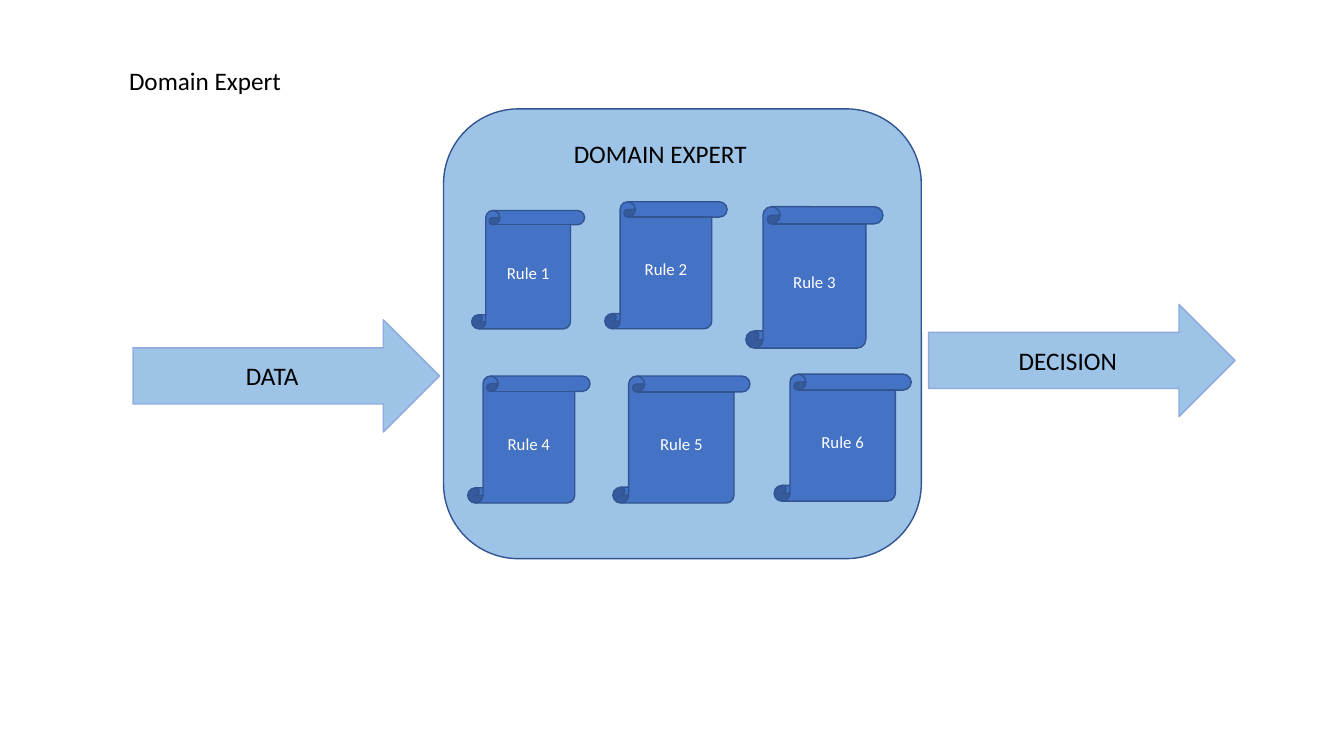
import pptx
import pptx.dml.color
import pptx.enum.shapes
import pptx.enum.text
import pptx.util

BLACK = pptx.dml.color.RGBColor(0x00, 0x00, 0x00)
WHITE = pptx.dml.color.RGBColor(0xFF, 0xFF, 0xFF)
SKY = pptx.dml.color.RGBColor(0x9D, 0xC3, 0xE6)
PERIWINKLE = pptx.dml.color.RGBColor(0x8F, 0xAA, 0xDC)
BLUE = pptx.dml.color.RGBColor(0x44, 0x72, 0xC4)
NAVY = pptx.dml.color.RGBColor(0x32, 0x54, 0x91)

ALIGN = pptx.enum.text.PP_ALIGN
ANCHOR = pptx.enum.text.MSO_ANCHOR
FIT = pptx.enum.text.MSO_AUTO_SIZE
PRESET = pptx.enum.shapes.MSO_SHAPE

TITLE_ONLY = 5
FLOW_ARROW_SIZE = (22.8, 14.85)
RULE_BOXES = [
    (35.1, 27.85, 8.4, 15.65),
    (45, 26.7, 9.1, 16.8),
    (55.5, 27.35, 10.2, 18.7),
    (34.8, 49.75, 9.1, 16.8),
    (45.6, 49.75, 10.2, 16.8),
    (57.6, 49.5, 10.2, 16.8),
]


class ExpertSlide:
    """Builds the slide; every box is (left, top, width, height) in percent of the slide."""

    heading_font = {"name": "Calibri", "size": pptx.util.Pt(18), "bold": False}
    rule_font = {"name": "Calibri", "size": pptx.util.Pt(12), "bold": False}

    def __init__(self, deck):
        self.width, self.height = deck.slide_width, deck.slide_height
        self.slide = deck.slides.add_slide(deck.slide_layouts[TITLE_ONLY])

    def place(self, box):
        """Turn a box in percent into slide lengths."""
        spans = (self.width, self.height) * 2
        return [round(span * share / 100) for span, share in zip(spans, box)]

    def add_text(self, holder, text, font, color, align, frame_format):
        frame = holder.text_frame
        for name, value in frame_format.items():
            setattr(frame, name, value)
        paragraph = frame.paragraphs[0]
        paragraph.alignment = align
        run = paragraph.add_run()
        run.text = text
        for name, value in font.items():
            setattr(run.font, name, value)
        run.font.color.rgb = color

    def heading(self, holder, text, wrap):
        self.add_text(holder, text, self.heading_font, BLACK, ALIGN.LEFT, {
            "word_wrap": wrap,
            "auto_size": FIT.SHAPE_TO_FIT_TEXT,
            "vertical_anchor": ANCHOR.TOP,
        })

    def title(self, text, box):
        title = self.slide.shapes.title
        title.left, title.top, title.width, title.height = self.place(box)
        self.heading(title, text, False)

    def label(self, text, box):
        self.heading(self.slide.shapes.add_textbox(*self.place(box)), text, True)

    def block(self, preset, box, fill, outline):
        block = self.slide.shapes.add_shape(preset, *self.place(box))
        block.shadow.inherit = False
        block.fill.solid()
        block.fill.fore_color.rgb = fill
        block.line.color.rgb = outline
        block.line.width = pptx.util.Pt(1)
        return block

    def flow_arrow(self, text, left, top):
        arrow = self.block(PRESET.RIGHT_ARROW, (left, top, *FLOW_ARROW_SIZE), SKY, PERIWINKLE)
        self.add_text(arrow, text, self.heading_font, BLACK, ALIGN.CENTER,
                      {"vertical_anchor": ANCHOR.MIDDLE})

    def rule_scroll(self, text, box):
        scroll = self.block(PRESET.VERTICAL_SCROLL, box, BLUE, NAVY)
        self.add_text(scroll, text, self.rule_font, WHITE, ALIGN.CENTER,
                      {"vertical_anchor": ANCHOR.MIDDLE})


def main():
    deck = pptx.Presentation()
    deck.slide_width = pptx.util.Inches(13.33)
    deck.slide_height = pptx.util.Inches(7.5)

    expert = ExpertSlide(deck)
    expert.title("Domain Expert", (8.85, 8, 13, 5.35))
    expert.flow_arrow("DATA", 9.9, 42.3)
    expert.block(PRESET.ROUNDED_RECTANGLE, (33, 14.4, 35.55, 59.5), SKY, NAVY)
    for number, box in enumerate(RULE_BOXES, start=1):
        expert.rule_scroll(f"Rule {number}", box)
    expert.flow_arrow("DECISION", 69.1, 40.25)
    expert.label("DOMAIN EXPERT", (41.95, 17.6, 18.7, 5.35))

    deck.save("out.pptx")


if __name__ == "__main__":
    main()
